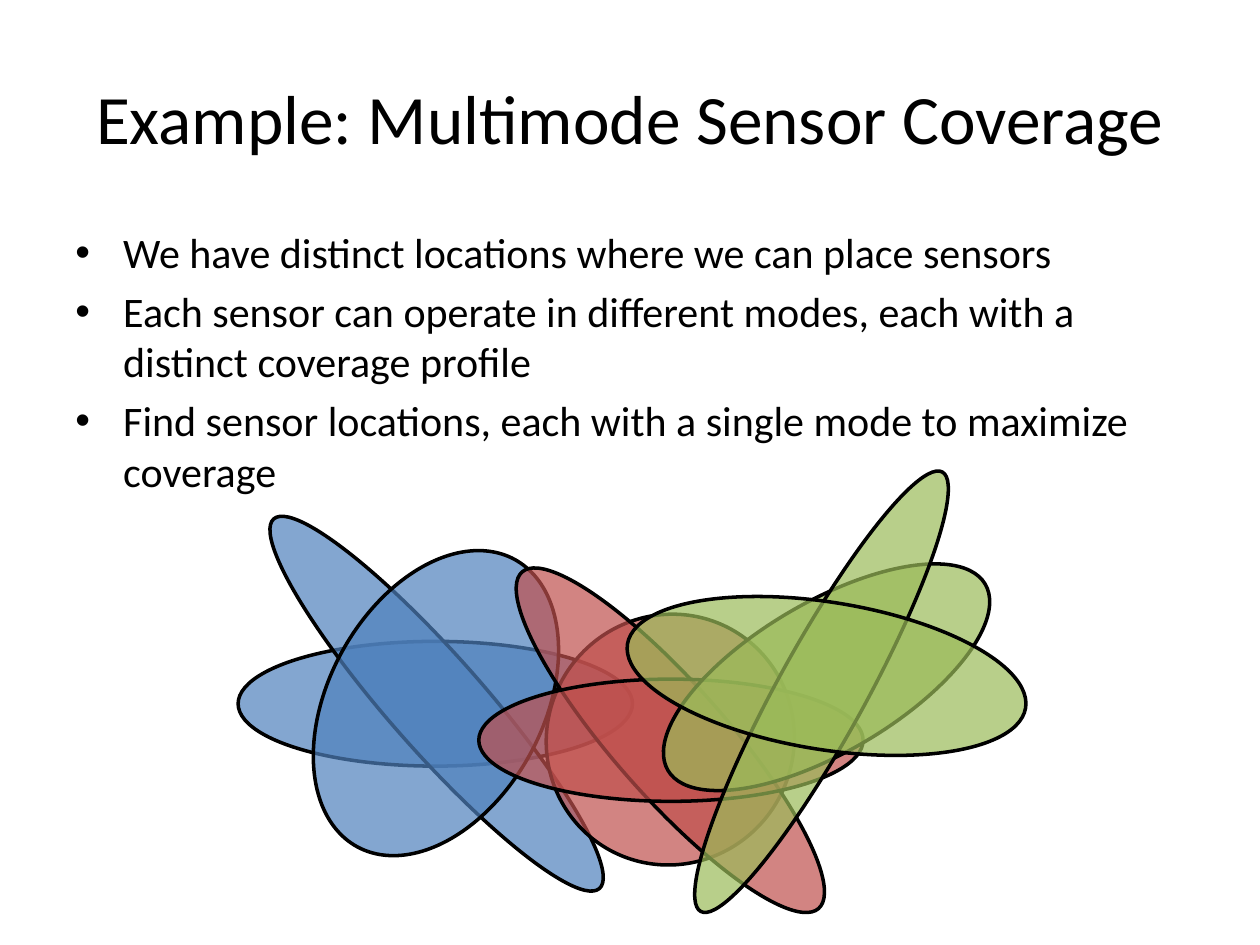
from dataclasses import dataclass

from lxml.etree import SubElement
from pptx import Presentation
from pptx.dml.color import RGBColor
from pptx.enum.shapes import MSO_SHAPE
from pptx.enum.text import MSO_ANCHOR, PP_ALIGN
from pptx.oxml.ns import qn
from pptx.slide import Slide
from pptx.util import Inches, Pt

COLOURS = {
    "ink": "000000",
    "left_sensor": "4F81BD",
    "middle_sensor": "C0504D",
    "right_sensor": "9BBB59",
}
FONT = "Calibri"
OPACITY = 70
COLUMNS, ROWS = 100, 75
WIDTH, HEIGHT = Inches(10), Inches(7.5)


@dataclass(frozen=True)
class Area:
    """A place on the grid, in columns and rows."""
    column: float
    row: float
    columns: float
    rows: float

    def lengths(self) -> tuple[int, int, int, int]:
        across, down = WIDTH / COLUMNS, HEIGHT / ROWS
        return (round(self.column * across), round(self.row * down),
                round(self.columns * across), round(self.rows * down))


@dataclass(frozen=True)
class Mode:
    """The coverage of one sensor in one of its modes."""
    sensor: str
    area: Area
    rotation: float = 0


TITLE = "Example: Multimode Sensor Coverage"
TITLE_AREA = Area(5, 3, 90, 12.5)
BULLETS = [
    "We have distinct locations where we can place sensors",
    "Each sensor can operate in different modes, each with a distinct coverage profile",
    "Find sensor locations, each with a single mode to maximize coverage",
]
BULLETS_AREA = Area(5, 17.5, 90, 49.5)

MODES_BEHIND_TEXT = [
    Mode("left_sensor", Area(18.9, 50.9, 31.3, 9.9)),
    Mode("left_sensor", Area(15.1, 52.1, 39.1, 7.5), 48.6),
    Mode("left_sensor", Area(21.6, 47.3, 26, 17), 298.8),
    Mode("middle_sensor", Area(43.2, 48.9, 20, 19.6), 298.8),
    Mode("middle_sensor", Area(35.4, 54.3, 35.6, 8.9), 48.6),
]
MODES_BEFORE_TEXT = [
    Mode("middle_sensor", Area(38, 53.9, 30.5, 9.7)),
    Mode("right_sensor", Area(51, 47.8, 29.2, 11.9), 149.6),
    Mode("right_sensor", Area(45.3, 51.4, 39.8, 7), 118.8),
    Mode("right_sensor", Area(49.6, 47.8, 32, 11.7), 9.1),
]


def colour(name: str) -> RGBColor:
    return RGBColor.from_string(COLOURS[name])


def add_text(page: Slide, area: Area, lines: list[str], *, size: float,
             align: PP_ALIGN = PP_ALIGN.LEFT, anchor: MSO_ANCHOR = MSO_ANCHOR.TOP,
             space_before: float = 0, bullet: str = "", indent: float = 0) -> None:
    box = page.shapes.add_textbox(*area.lengths())
    frame = box.text_frame
    frame.word_wrap = True
    frame.vertical_anchor = anchor
    for index, line in enumerate(lines):
        para = frame.add_paragraph() if index else frame.paragraphs[0]
        para.alignment = align
        para.space_before = Pt(space_before)
        span = para.add_run()
        span.text = line
        span.font.name = FONT
        span.font.size = Pt(size)
        span.font.color.rgb = colour("ink")
        if bullet:
            properties = para._p.get_or_add_pPr()
            properties.set("marL", str(Inches(indent)))
            properties.set("indent", str(-Inches(indent)))
            SubElement(properties, qn("a:buFont"), typeface="Arial")
            SubElement(properties, qn("a:buChar"), char=bullet)


def add_mode(page: Slide, mode: Mode) -> None:
    ellipse = page.shapes.add_shape(MSO_SHAPE.OVAL, *mode.area.lengths())
    ellipse.rotation = mode.rotation
    ellipse.shadow.inherit = False
    ellipse.fill.solid()
    ellipse.fill.fore_color.rgb = colour(mode.sensor)
    fill_colour = ellipse._element.spPr.find(qn("a:solidFill")).find(qn("a:srgbClr"))
    SubElement(fill_colour, qn("a:alpha"), val=str(OPACITY * 1000))
    ellipse.line.color.rgb = colour("ink")
    ellipse.line.width = Pt(2)


def main() -> None:
    deck = Presentation()
    deck.slide_width, deck.slide_height = WIDTH, HEIGHT
    page = deck.slides.add_slide(deck.slide_layouts[6])

    add_text(page, TITLE_AREA, [TITLE], size=39.6,
             align=PP_ALIGN.CENTER, anchor=MSO_ANCHOR.MIDDLE)
    for mode in MODES_BEHIND_TEXT:
        add_mode(page, mode)
    add_text(page, BULLETS_AREA, BULLETS, size=24, space_before=4.8,
             bullet="•", indent=0.38)
    for mode in MODES_BEFORE_TEXT:
        add_mode(page, mode)

    deck.save("out.pptx")


if __name__ == "__main__":
    main()
